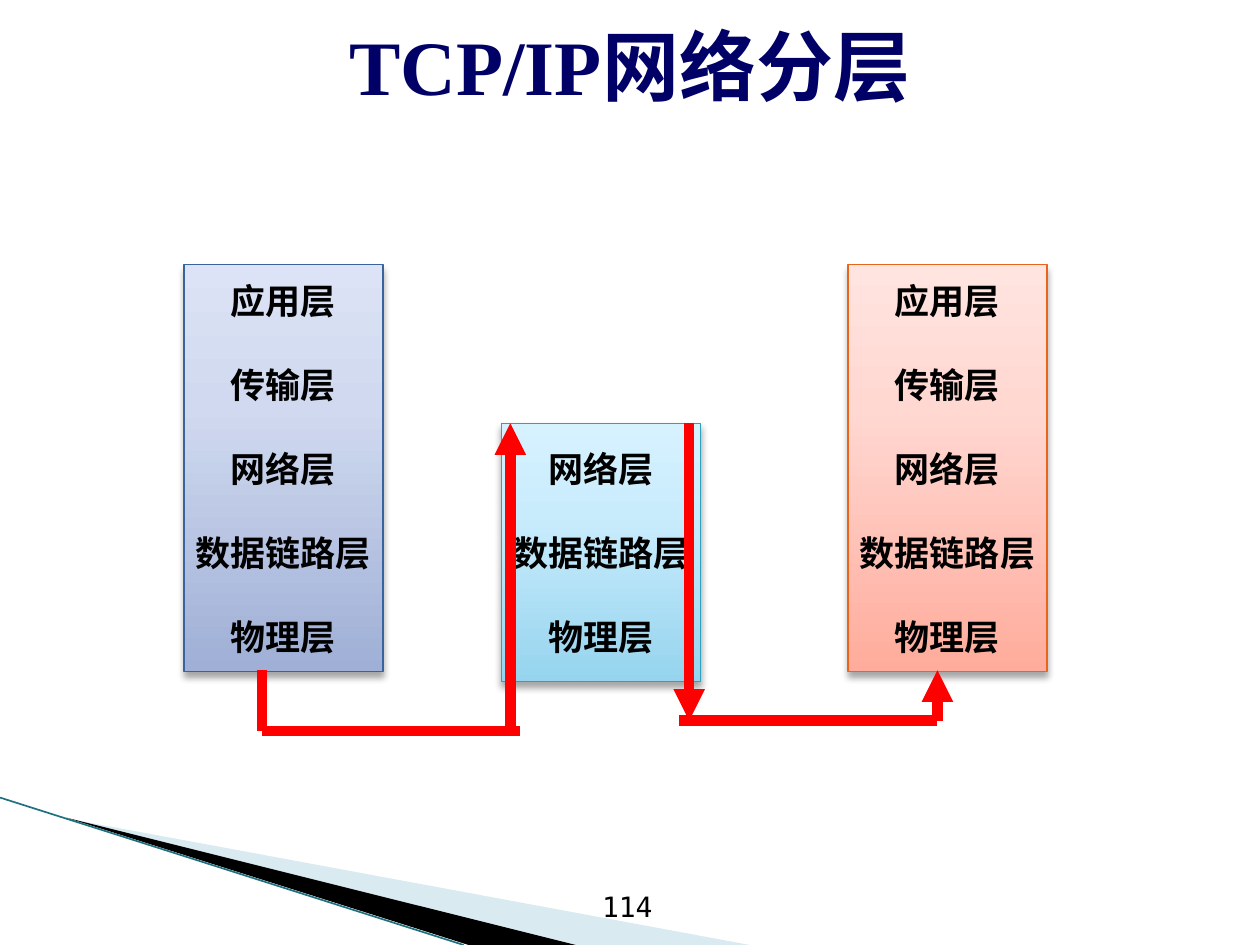
from copy import deepcopy
from dataclasses import dataclass
from lxml.etree import SubElement
from pptx import Presentation
from pptx.dml.color import RGBColor
from pptx.enum.shapes import MSO_CONNECTOR, MSO_SHAPE
from pptx.enum.text import MSO_ANCHOR, PP_ALIGN
from pptx.oxml.ns import qn
from pptx.util import Inches, Pt


@dataclass(frozen=True)
class Theme:
    title: str = "000066"
    ink: str = "000000"
    arrow: str = "FF0000"
    pale_wedge: str = "A0CBDC"
    edge: str = "1F7080"
    title_font: str = "Times New Roman"
    layer_font: str = "Comic Neue"
    number_font: str = "DejaVu Sans Mono"
    title_size: int = 44
    layer_size: int = 20
    number_size: int = 16
    layer_pitch: int = 24


theme = Theme()
deck = Presentation()
deck.slide_width, deck.slide_height = Inches(10), Inches(7.5)
page = deck.slides.add_slide(deck.slide_layouts[6])

# Grid of 10 columns by 7.5 rows
COLUMN = deck.slide_width / 10
ROW = deck.slide_height / 7.5


def grid(*places):
    """Turn alternating columns and rows into slide lengths."""
    return [round(place * (ROW if i % 2 else COLUMN)) for i, place in enumerate(places)]


def draw_line(start, end, color, width, arrow=False):
    line = page.shapes.add_connector(MSO_CONNECTOR.STRAIGHT, *grid(*start, *end))
    line.line.color.rgb = RGBColor.from_string(color)
    line.line.width = Pt(width)
    if arrow:
        SubElement(line.line._get_or_add_ln(), qn("a:tailEnd"), type="triangle")
    SubElement(line._element.spPr, qn("a:effectLst"))


# Corner decoration
wedges = [
    (theme.pale_wedge, 40, [(0.55, 6.5), (5.95, 7.5), (4.56, 7.5)]),
    (theme.ink, 100, [(0.53, 6.49), (4.57, 7.5), (3.72, 7.5)]),
]
for color, opacity, corners in wedges:
    points = [grid(*corner) for corner in corners]
    builder = page.shapes.build_freeform(*points[0])
    builder.add_line_segments(points[1:], close=True)
    wedge = builder.convert_to_shape()
    wedge.shadow.inherit = False
    wedge.fill.solid()
    wedge.fill.fore_color.rgb = RGBColor.from_string(color)
    wedge.line.fill.background()
    solid_color = wedge._element.spPr.find(".//" + qn("a:srgbClr"))
    SubElement(solid_color, qn("a:alpha"), val=str(opacity * 1000))
draw_line((0, 6.33), (3.68, 7.5), theme.edge, 0.95)

# Title and page number
labels = [
    ("TCP/IP网络分层", (0.2, 0.05, 9.6, 0.93), theme.title_font, theme.title_size,
     theme.title, True, PP_ALIGN.CENTER, MSO_ANCHOR.MIDDLE),
    ("114", (4.68, 7.01, 0.87, 0.49), theme.number_font, theme.number_size,
     theme.ink, False, PP_ALIGN.LEFT, MSO_ANCHOR.TOP),
]
for text, place, font, size, color, bold, align, anchor in labels:
    box = page.shapes.add_textbox(*grid(*place))
    box.text_frame.word_wrap = True
    box.text_frame.vertical_anchor = anchor
    para = box.text_frame.paragraphs[0]
    para.text = text
    para.alignment = align
    para.font.name, para.font.size, para.font.bold = font, Pt(size), bold
    para.font.color.rgb = RGBColor.from_string(color)

# Layer stacks: two hosts and the router between them
layers = ["应用层", "传输层", "网络层", "数据链路层", "物理层"]
stacks = [
    ((1.46, 2.1, 1.58, 3.23), layers, ("9FAFD6", "D0D9EF", "DCE3F6"), "39639D"),
    ((6.73, 2.1, 1.58, 3.23), layers, ("FFAC9C", "FFD8D2", "FFE4DF"), "EB641B"),
    ((3.98, 3.36, 1.58, 2.05), layers[2:], ("96D4EE", "C9ECFC", "D7F2FF"), "2DA2BF"),
]
for place, names, shades, outline in stacks:
    stack = page.shapes.add_shape(MSO_SHAPE.RECTANGLE, *grid(*place))
    stack.fill.gradient()
    stack.fill.gradient_angle = 90
    stop_list = stack._element.spPr.find(".//" + qn("a:gsLst"))
    stop_list.append(deepcopy(stop_list[0]))
    for stop, shade, position in zip(stack.fill.gradient_stops, shades, (0, 0.65, 1)):
        stop.color.rgb = RGBColor.from_string(shade)
        stop.position = position
    stack.line.color.rgb = RGBColor.from_string(outline)
    stack.line.width = Pt(0.75)

    # Soft shadow below the stack
    stack.shadow.inherit = False
    effects = stack._element.spPr.find(qn("a:effectLst"))
    shadow = SubElement(effects, qn("a:outerShdw"), blurRad=str(Pt(4)), dist=str(Pt(3)),
                        dir="5400000", rotWithShape="0")
    shadow_color = SubElement(shadow, qn("a:srgbClr"), val=theme.ink)
    SubElement(shadow_color, qn("a:alpha"), val="35000")

    frame = stack.text_frame
    frame.word_wrap = False
    frame.vertical_anchor = MSO_ANCHOR.MIDDLE
    for i, name in enumerate(names):
        para = frame.add_paragraph() if i else frame.paragraphs[0]
        para.text = name
        para.alignment = PP_ALIGN.CENTER
        para.line_spacing = Pt(theme.layer_pitch)
        para.space_before = Pt(theme.layer_pitch if i else 0)
        para.font.name, para.font.size = theme.layer_font, Pt(theme.layer_size)
        para.font.bold = True
        para.font.color.rgb = RGBColor.from_string(theme.ink)

# Data path: down from the first host, through the router, up to the second
data_path = [
    ((2.08, 5.32), (2.08, 5.8), False),
    ((2.08, 5.8), (4.13, 5.8), False),
    ((4.05, 5.8), (4.05, 3.36), True),
    ((5.47, 3.36), (5.47, 5.72), True),
    ((5.39, 5.72), (7.44, 5.72), False),
    ((7.44, 5.72), (7.44, 5.32), True),
]
for start, end, arrow in data_path:
    draw_line(start, end, theme.arrow, 6, arrow)

deck.save("out.pptx")
